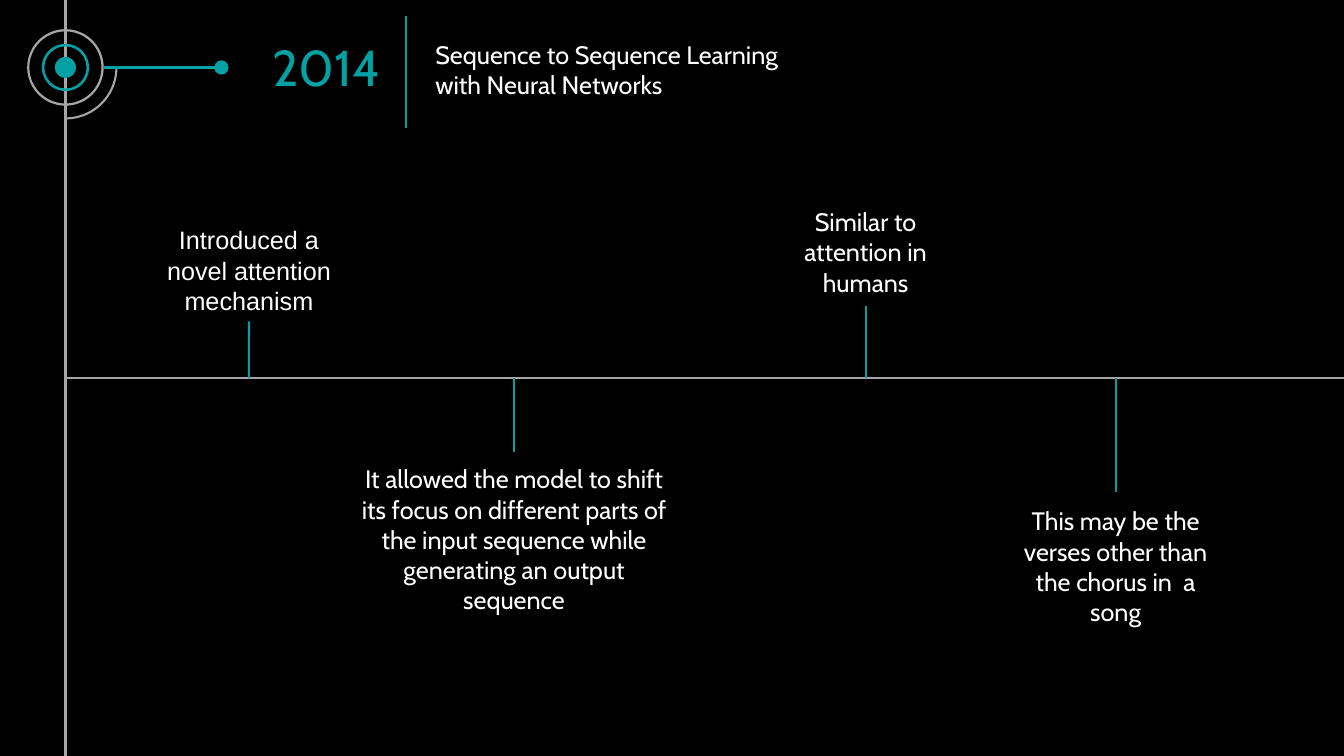
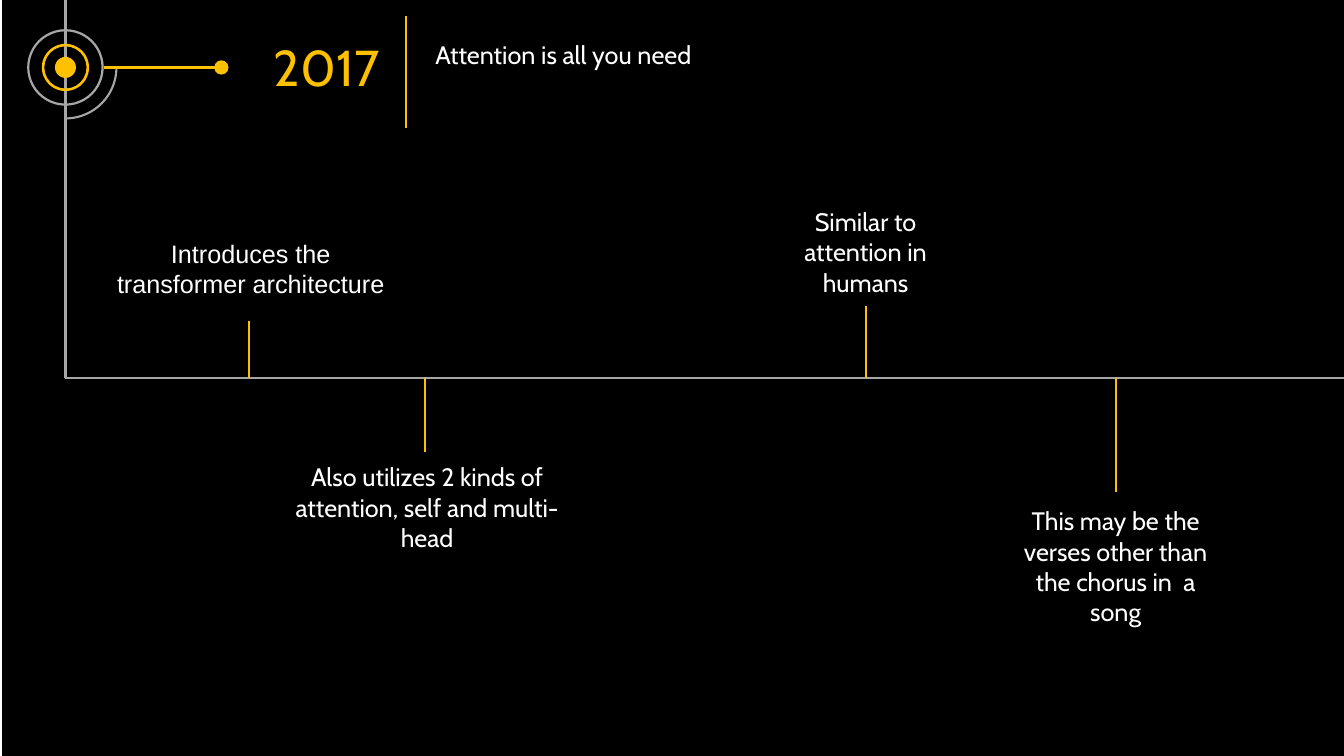
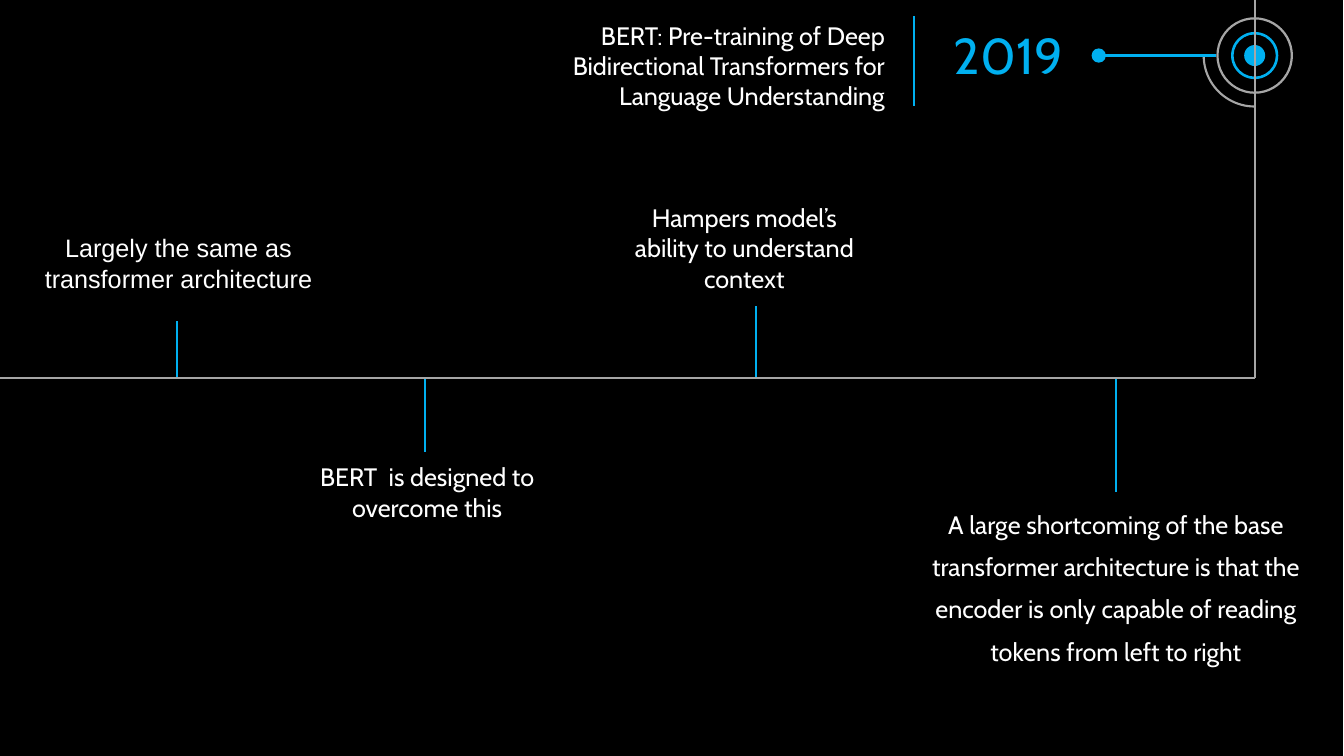
from pptx import Presentation
from pptx.dml.color import RGBColor
from pptx.enum.shapes import MSO_CONNECTOR as Link, MSO_SHAPE as Form
from pptx.enum.text import PP_ALIGN as Align
from pptx.oxml.xmlchemy import OxmlElement as Element
from pptx.util import Cm, Pt

BLACK = RGBColor(0x00, 0x00, 0x00)
WHITE = RGBColor(0xFF, 0xFF, 0xFF)
GRAY = RGBColor(0xA6, 0xA6, 0xA6)
TEAL = RGBColor(0x03, 0xA1, 0xA4)
GOLD = RGBColor(0xFF, 0xC0, 0x00)
BLUE = RGBColor(0x00, 0xB0, 0xF0)

WIDE, HIGH = 33.87, 19.05
AXIS = HIGH / 2
BODY = {"name": "Cabin", "size": Pt(18)}
LEAD = {"name": "Arial", "size": Pt(18)}
YEAR = {"name": "Cabin", "size": Pt(36)}

HUMAN = ("Similar to attention in humans", (19.25, 5.08, 5.13, 2.56), 21.82, 7.72)
VERSE = ("This may be the verses other than the chorus in  a song",
         (25.55, 12.62, 5.13, 3.33), 28.12, 12.4)

PAGES = [
    {
        "color": TEAL, "panel": (0, WIDE), "hub": (1.65, 1.7), "side": 1, "foot": HIGH,
        "year": ("2014", 6.58), "bar": (0.41, 3.23),
        "title": ("Sequence to Sequence Learning with Neural Networks", 0.86, 1.8),
        "notes": [
            ("Introduced a novel attention mechanism", (3.71, 5.54, 5.13, 2.56), 6.27, 8.1),
            ("It allowed the model to shift its focus on different parts of the input "
             "sequence while generating an output sequence",
             (8.84, 11.56, 8.23, 4.11), 12.95, 11.4),
            HUMAN, VERSE,
        ],
    },
    {
        "color": GOLD, "panel": (0.08, WIDE), "hub": (1.65, 1.7), "side": 1, "foot": AXIS,
        "year": ("2017", 6.58), "bar": (0.41, 3.23),
        "title": ("Attention is all you need", 0.86, 1.02),
        "notes": [
            ("Introduces the transformer architecture", (2.46, 5.87, 7.72, 1.8), 6.27, 8.08),
            ("Also utilizes 2 kinds of attention, self and multi-head",
             (6.65, 11.51, 8.23, 2.56), 10.72, 11.4),
            HUMAN, VERSE,
        ],
    },
    {
        "color": BLUE, "panel": (0, 33.83), "hub": (31.62, 1.4), "side": -1, "foot": AXIS,
        "year": ("2019", 6.21), "bar": (0.41, 2.67),
        "title": ("BERT: Pre-training of Deep Bidirectional Transformers for\n"
                  "Language Understanding", 0.38, 2.56),
        "notes": [
            ("Largely the same as transformer architecture", (0.64, 5.74, 7.72, 1.8), 4.47, 8.08),
            ("BERT  is designed to overcome this", (6.65, 11.51, 8.23, 1.8), 10.72, 11.4),
            ("Hampers model’s ability to understand context",
             (15.37, 4.98, 6.78, 2.56), 19.05, 7.72),
            ("A large shortcoming of the base transformer architecture is that the encoder "
             "is only capable of reading tokens from left to right",
             (23.14, 12.4, 9.96, 4.47), 28.12, 12.4, 1.4),
        ],
    },
]


def shape(slide, form, box, fill=None, edge=None, width=1.5, turns=()):
    item = slide.shapes.add_shape(form, *map(Cm, box))
    item.shadow.inherit = False
    for index, turn in enumerate(turns):
        item.adjustments[index] = turn
    if fill is None:
        item.fill.background()
    else:
        item.fill.solid()
        item.fill.fore_color.rgb = fill
    if edge is None:
        item.line.fill.background()
    else:
        item.line.color.rgb = edge
        item.line.width = Pt(width)
    return item


def disc(slide, form, hub, size, **look):
    x, y = hub
    return shape(slide, form, (x - size / 2, y - size / 2, size, size), **look)


def line(slide, start, end, color):
    item = slide.shapes.add_connector(Link.STRAIGHT, *map(Cm, start + end))
    item.line.color.rgb = color
    item.line.width = Pt(1.5)
    item._element.spPr.append(Element("a:effectLst"))
    return item


def label(slide, text, box, style, color=WHITE, align=Align.CENTER, space=None):
    item = slide.shapes.add_textbox(*map(Cm, box))
    frame = item.text_frame
    frame.word_wrap = True
    frame.text = text
    for para in frame.paragraphs:
        para.alignment = align
        para.line_spacing = space
        for key, value in style.items():
            setattr(para.font, key, value)
        para.font.color.rgb = color
    return item


def header(slide, hub, side, color, year, title, bar):
    x, y = hub
    turns = (0, 54) if side > 0 else (54, 108)
    disc(slide, Form.ARC, hub, 2.57, edge=GRAY, turns=turns)
    disc(slide, Form.OVAL, hub, 0.53, fill=color)
    disc(slide, Form.DONUT, hub, 1.19, fill=color, turns=[0.053])
    disc(slide, Form.DONUT, hub, 1.93, fill=GRAY, turns=[0.029])
    line(slide, (x + side * 3.84, y), (x + side * 0.97, y), color)
    disc(slide, Form.OVAL, (x + side * 3.93, y), 0.36, fill=color)

    text, reach = year
    label(slide, text, (x + side * reach - 2.11, y - 0.91, 4.22, 1.8), YEAR, color)
    text, top, height = title
    width = 9.78
    left = x + 9.07 if side > 0 else x - 9.07 - width
    align = Align.LEFT if side > 0 else Align.RIGHT
    label(slide, text, (left, top, width, height), BODY, align=align)
    mid = x + side * 8.58
    line(slide, (mid, bar[0]), (mid, bar[1]), color)


def rails(slide, x, side, foot):
    line(slide, (x, foot), (x, 0), GRAY)
    line(slide, (WIDE if side > 0 else 0, AXIS), (x, AXIS), GRAY)


def note(slide, color, style, text, box, x, end, space=None):
    top, height = box[1], box[3]
    item = label(slide, text, box, style, space=space)
    stem = line(slide, (x, AXIS), (x, end), color)
    for site, edge in ((0, top), (2, top + height)):
        if abs(end - edge) < 0.01:
            stem.end_connect(item, site)


def build(deck, page):
    slide = deck.slides.add_slide(deck.slide_layouts[6])
    color, hub, side = page["color"], page["hub"], page["side"]
    left, right = page["panel"]
    shape(slide, Form.RECTANGLE, (left, 0, right - left, HIGH), BLACK, BLACK, 1)
    if side > 0:
        rails(slide, hub[0], side, page["foot"])
    header(slide, hub, side, color, page["year"], page["title"], page["bar"])
    for index, entry in enumerate(page["notes"]):
        note(slide, color, BODY if index else LEAD, *entry)
    if side < 0:
        rails(slide, hub[0], side, page["foot"])


def main():
    deck = Presentation()
    deck.slide_width, deck.slide_height = Cm(WIDE), Cm(HIGH)
    for page in PAGES:
        build(deck, page)
    deck.save("out.pptx")


if __name__ == "__main__":
    main()
